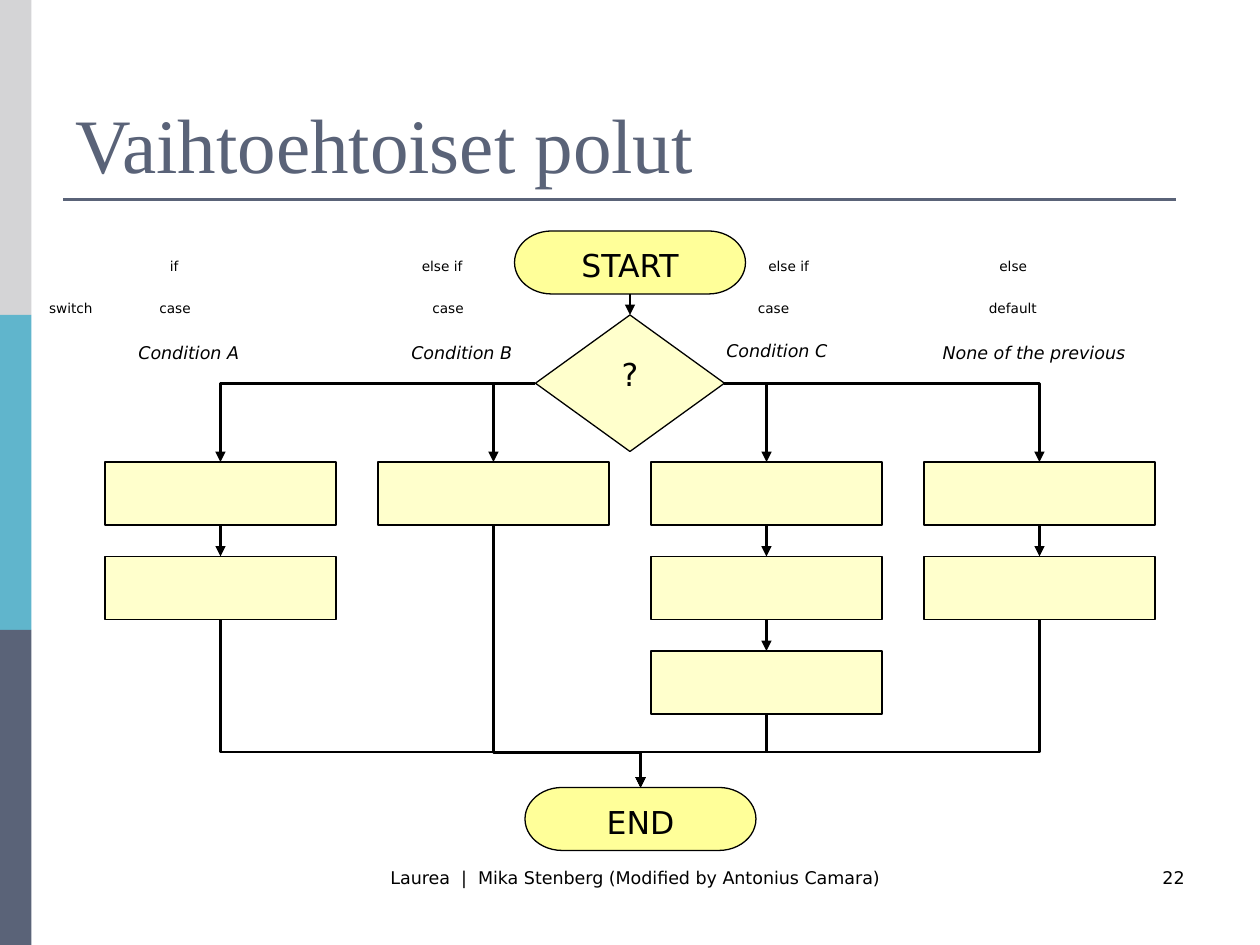
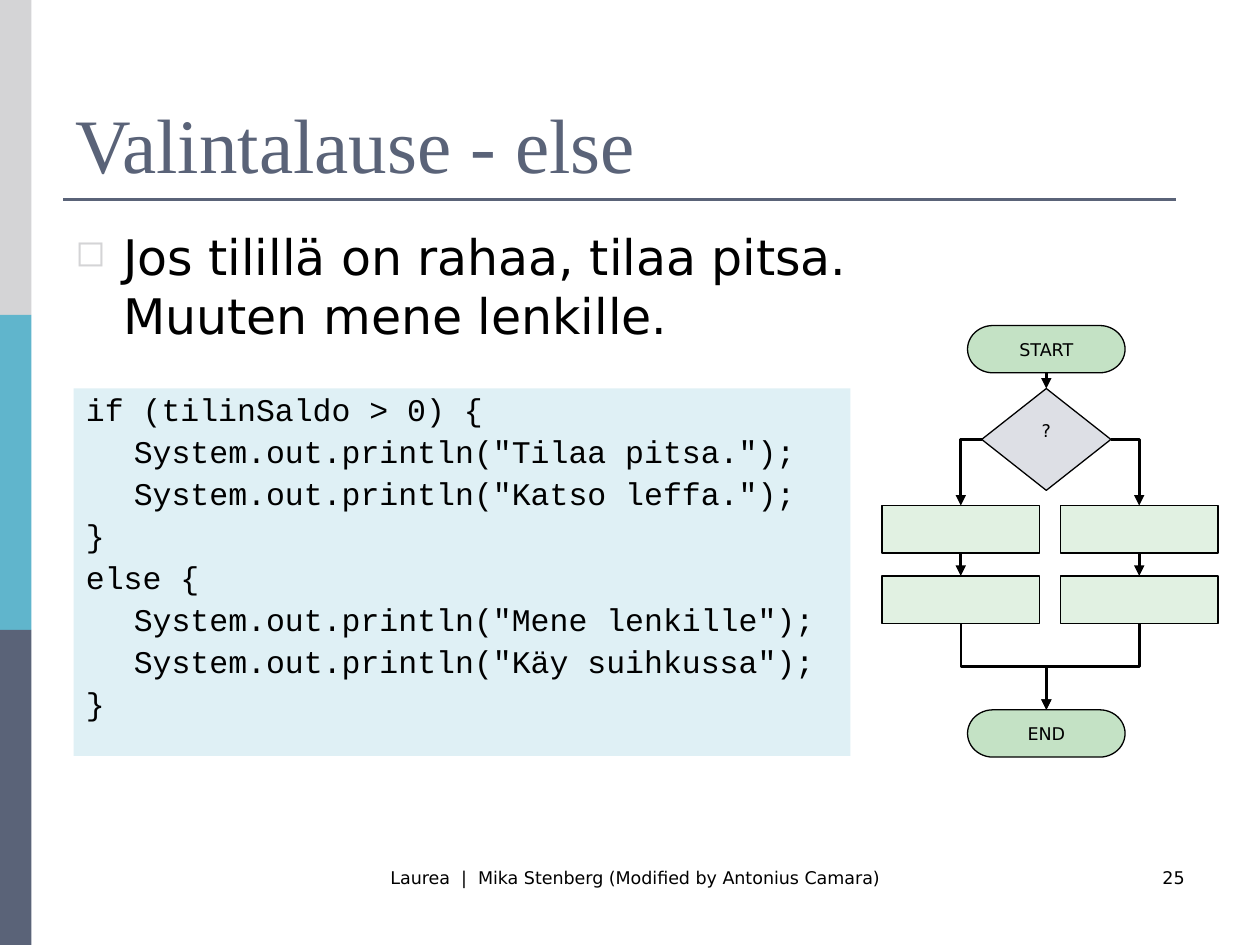
import dataclasses

import pptx
import pptx.dml.color
import pptx.enum.shapes
import pptx.enum.text
import pptx.oxml
import pptx.oxml.ns
import pptx.util

COLORS = {
    "ink": "000000", "slate": "5A6378", "teal": "60B5CC", "silver": "D4D4D6",
    "yellow": "FFFF99", "cream": "FFFFCC", "green": "C4E2C5", "mint": "E1F1E2",
    "mist": "DDDFE5", "ice": "DFF0F5",
}
SANS, SERIF, MONO = "DejaVu Sans", "Times New Roman", "Courier New"
COLS, ROWS = 120, 90
CELL = pptx.util.Inches(10) // COLS
SHAPE = pptx.enum.shapes.MSO_SHAPE
CONNECTOR = pptx.enum.shapes.MSO_CONNECTOR
ALIGN = pptx.enum.text.PP_ALIGN
ANCHOR = pptx.enum.text.MSO_ANCHOR
qn = pptx.oxml.ns.qn


@dataclasses.dataclass
class Box:
    x: float
    y: float
    w: float
    h: float

    def sub(self, x, y, w, h):
        return Box(self.x + x, self.y + y, w, h)

    @property
    def mid(self):
        return self.x + self.w / 2

    @property
    def bottom(self):
        return self.y + self.h

    def emu(self):
        return [cells(v) for v in (self.x, self.y, self.w, self.h)]


@dataclasses.dataclass
class Flow:
    fills: tuple
    size: int
    node: tuple
    decision: tuple
    start_mid: float
    end_mid: float
    decision_top: float
    first_row: float
    row_step: float
    bus: float
    end_top: float
    columns: tuple
    counts: tuple


FOUR_WAY = Flow(("yellow", "cream", "cream"), 18, (22, 6), (18, 13),
                50, 51, 8, 22, 9, 49.64, 53, (0, 26, 52, 78), (2, 1, 3, 2))
TWO_WAY = Flow(("green", "mist", "mint"), 10, (15, 4.5), (12.3, 9.7),
               15.65, 15.65, 6, 17.15, 6.7, 32.5, 36.6, (0, 17), (2, 2))

KEYWORDS = [
    (24, [(15, "if"), (39, "else if"), (72, "else if"), (94, "else")]),
    (28, [(3.5, "switch"), (14, "case"), (40, "case"), (71, "case"), (93, "default")]),
]
CONDITIONS = [
    (12, 32, 13, "Condition A"), (38, 32, 13, "Condition B"),
    (68, 31.8, 13, "Condition C"), (88.6, 32, 22.4, "None of the previous"),
]
CODE = """if (tilinSaldo > 0) {
\tSystem.out.println("Tilaa pitsa.");
\tSystem.out.println("Katso leffa.");
}
else {
\tSystem.out.println("Mene lenkille");
\tSystem.out.println("Käy suihkussa");
}"""


def cells(value):
    return round(value * CELL)


def rgb(name):
    return pptx.dml.color.RGBColor.from_string(COLORS[name])


def add_run(p, text, size, font=SANS, color="ink", italic=False):
    r = p.add_run()
    r.text = text
    r.font.size = pptx.util.Pt(size)
    r.font.name = font
    r.font.color.rgb = rgb(color)
    r.font.italic = italic


def text_frame(sp, anchor=ANCHOR.TOP):
    tf = sp.text_frame
    tf.word_wrap = True
    tf.vertical_anchor = anchor
    return tf


def add_text(slide, box, text, size, align=ALIGN.LEFT, anchor=ANCHOR.TOP, **style):
    tf = text_frame(slide.shapes.add_textbox(*box.emu()), anchor)
    p = tf.paragraphs[0]
    p.alignment = align
    add_run(p, text, size, **style)


def add_block(slide, kind, box, fill, outline=True):
    sp = slide.shapes.add_shape(kind, *box.emu())
    sp.shadow.inherit = False
    sp.fill.solid()
    sp.fill.fore_color.rgb = rgb(fill)
    if outline:
        sp.line.color.rgb = rgb("ink")
        sp.line.width = pptx.util.Pt(0.75)
    else:
        sp.line.fill.background()
    return sp


def add_node(slide, kind, box, fill, text, size):
    p = text_frame(add_block(slide, kind, box, fill)).paragraphs[0]
    p.alignment = ALIGN.CENTER
    add_run(p, text, size)


def add_line(slide, start, end, kind=CONNECTOR.STRAIGHT, color="ink", arrow=True):
    sp = slide.shapes.add_connector(kind, *[cells(v) for v in (*start, *end)])
    sp.line.color.rgb = rgb(color)
    sp.line.width = pptx.util.Pt(1.5)
    if arrow:
        ln = sp.line._get_or_add_ln()
        ln.append(pptx.oxml.parse_xml(
            f'<a:tailEnd {pptx.oxml.ns.nsdecls("a")} type="triangle"/>'))
    sp._element.spPr.append(pptx.oxml.parse_xml(
        f'<a:effectLst {pptx.oxml.ns.nsdecls("a")}/>'))
    return sp


def add_branch(slide, start, end):
    sp = add_line(slide, start, end, CONNECTOR.ELBOW)
    sp._element.spPr.find(qn("a:prstGeom")).set("prst", "bentConnector2")


def add_merge(slide, start, end, bus):
    sp = add_line(slide, start, end, CONNECTOR.ELBOW)
    (x1, y1), (x2, y2) = start, end
    long, wide = y2 - y1, abs(x2 - x1)
    turned = Box((x1 + x2 - long) / 2, (y1 + y2 - wide) / 2, long, wide)
    sp.left, sp.top, sp.width, sp.height = turned.emu()
    spPr = sp._element.spPr
    xfrm = spPr.find(qn("a:xfrm"))
    xfrm.set("rot", str((90 if x2 < x1 else 270) * 60000))
    xfrm.set("flipH", "0" if x2 < x1 else "1")
    share = round((bus - y1) / long * 100000)
    geom = spPr.find(qn("a:prstGeom"))
    guides = geom.get_or_add_avLst()
    guides.append(pptx.oxml.parse_xml(
        f'<a:gd {pptx.oxml.ns.nsdecls("a")} name="adj1" fmla="val {share}"/>'))


def add_flowchart(slide, box, flow):
    w, h = flow.node
    dw, dh = flow.decision
    end_fill, decision_fill, step_fill = flow.fills
    start = box.sub(flow.start_mid - w / 2, 0, w, h)
    end = box.sub(flow.end_mid - w / 2, flow.end_top, w, h)
    decision = box.sub(flow.start_mid - dw / 2, flow.decision_top, dw, dh)
    add_node(slide, SHAPE.FLOWCHART_TERMINATOR, start, end_fill, "START", flow.size)
    add_node(slide, SHAPE.FLOWCHART_TERMINATOR, end, end_fill, "END", flow.size)
    add_node(slide, SHAPE.FLOWCHART_DECISION, decision, decision_fill, "?", flow.size)
    add_line(slide, (start.mid, start.bottom), (decision.mid, decision.y))

    for column, count in zip(flow.columns, flow.counts):
        steps = [box.sub(column, flow.first_row + i * flow.row_step, w, h)
                 for i in range(count)]
        for step in steps:
            add_block(slide, SHAPE.FLOWCHART_PROCESS, step, step_fill)
        for upper, lower in zip(steps, steps[1:]):
            add_line(slide, (upper.mid, upper.bottom), (lower.mid, lower.y))
        first, last = steps[0], steps[-1]
        side = decision.x if first.mid < decision.mid else decision.x + dw
        add_branch(slide, (side, decision.y + dh / 2), (first.mid, first.y))
        add_merge(slide, (last.mid, last.bottom), (end.mid, end.y), box.y + flow.bus)


def add_labels(slide, box):
    for x, y, w, text in CONDITIONS:
        add_text(slide, box.sub(x, y, w, 6), text, 10, italic=True)
    for y, words in KEYWORDS:
        for x, text in words:
            add_text(slide, box.sub(x, y, 13, 3), text, 7.8)


def set_hanging(p, **attrs):
    pPr = p._p.get_or_add_pPr()
    indent = pptx.util.Inches(0.38)
    pPr.set("marL", str(indent))
    pPr.set("indent", str(-indent))
    return pPr


def add_bullet(slide, box, lines):
    p = text_frame(slide.shapes.add_textbox(*box.emu())).paragraphs[0]
    pPr = set_hanging(p)
    ns = pptx.oxml.ns.nsdecls("a")
    for xml in (f'<a:buClr {ns}><a:srgbClr val="{COLORS["silver"]}"/></a:buClr>',
                f'<a:buSzPct {ns} val="75000"/>',
                f'<a:buChar {ns} char="◻"/>'):
        pPr.append(pptx.oxml.parse_xml(xml))
    for i, line in enumerate(lines):
        if i:
            p.add_line_break()
        add_run(p, line, 28)


def add_code(slide, box, code):
    tf = text_frame(add_block(slide, SHAPE.RECTANGLE, box, "ice", outline=False))
    for i, line in enumerate(code.split("\n")):
        p = tf.add_paragraph() if i else tf.paragraphs[0]
        set_hanging(p)
        p.alignment = ALIGN.LEFT
        p.line_spacing = 0.9
        if i:
            p.space_before = pptx.util.Pt(4.5)
        add_run(p, line, 18, MONO)


def add_base(prs, page, title, number):
    slide = prs.slides.add_slide(prs.slide_layouts[6])
    band = page.h / 3
    for i, color in enumerate(("silver", "teal", "slate")):
        add_block(slide, SHAPE.RECTANGLE, page.sub(0, i * band, 3, band), color, outline=False)
    add_line(slide, (page.x + 6, page.y + 19), (page.x + 112, page.y + 19),
             color="slate", arrow=False)
    add_text(slide, page.sub(6, 3.6, 108, 15), title, 44, anchor=ANCHOR.BOTTOM,
             font=SERIF, color="slate")
    add_text(slide, page.sub(36, 82, 52, 6),
             "Laurea  |  Mika Stenberg (Modified by Antonius Camara)", 10)
    add_text(slide, page.sub(86, 82, 28, 6), number, 10, align=ALIGN.RIGHT)
    return slide


def add_paths_slide(prs, page):
    slide = add_base(prs, page, "Vaihtoehtoiset polut", "22")
    add_flowchart(slide, page.sub(10, 22, 100, 59), FOUR_WAY)
    add_labels(slide, page)


def add_else_slide(prs, page):
    slide = add_base(prs, page, "Valintalause - else", "25")
    add_bullet(slide, page.sub(6, 21, 108, 13),
               ["Jos tilillä on rahaa, tilaa pitsa.", "Muuten mene lenkille."])
    add_code(slide, page.sub(7, 37, 74, 35), CODE)
    add_flowchart(slide, page.sub(84, 31, 32, 41), TWO_WAY)


def main():
    prs = pptx.Presentation()
    prs.slide_width, prs.slide_height = COLS * CELL, ROWS * CELL
    page = Box(0, 0, COLS, ROWS)
    add_paths_slide(prs, page)
    add_else_slide(prs, page)
    prs.save("out.pptx")


if __name__ == "__main__":
    main()
